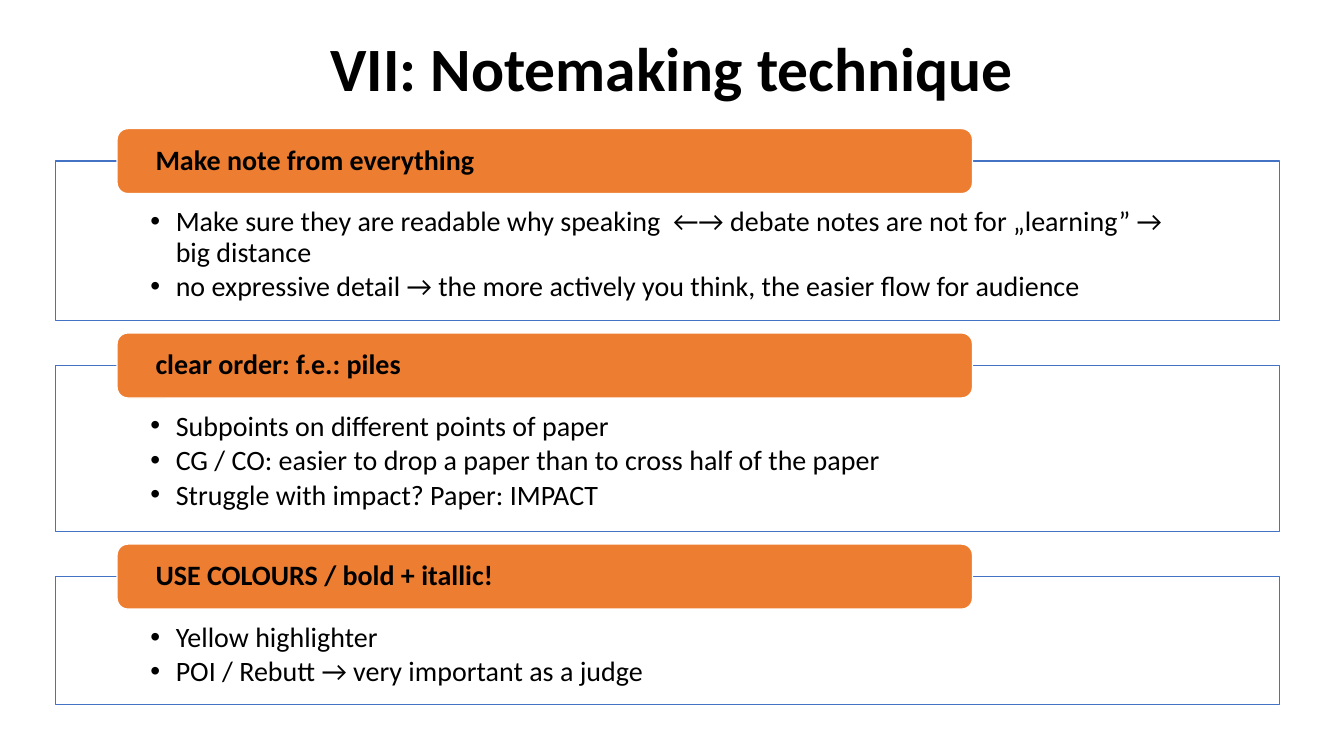
from lxml.etree import SubElement
from pptx import Presentation
from pptx.dml.color import RGBColor
from pptx.enum.shapes import MSO_SHAPE as Shape
from pptx.enum.text import MSO_ANCHOR as Anchor, MSO_AUTO_SIZE as AutoSize, PP_ALIGN as Align
from pptx.oxml.ns import qn
from pptx.util import Cm, Pt

BLACK = RGBColor(0x00, 0x00, 0x00)
WHITE = RGBColor(0xFF, 0xFF, 0xFF)
BLUE = RGBColor(0x44, 0x72, 0xC4)
ORANGE = RGBColor(0xED, 0x7D, 0x31)

COMPARISON_LAYOUT = 4
FIRST_TOP, GAP, HEADING_RISE = 4.06, 1.13, 0.82

SECTIONS = [
    ("Make note from everything", 4.02, [
        "Make sure they are readable why speaking  ←→ debate notes are not for „learning” → big distance",
        "no expressive detail → the more actively you think, the easier flow for audience",
    ]),
    ("clear order: f.e.: piles", 4.19, [
        "Subpoints on different points of paper",
        "CG / CO: easier to drop a paper than to cross half of the paper",
        "Struggle with impact? Paper: IMPACT",
    ]),
    ("USE COLOURS / bold + itallic!", 3.22, [
        "Yellow highlighter",
        "POI / Rebutt → very important as a judge",
    ]),
]


class NoteSlide:
    """Hold the slide and the style shared by its title, lists and headings."""

    font_name = "Calibri"
    text_size = 20
    title_size = 44

    def __init__(self, presentation):
        self.slide = presentation.slides.add_slide(presentation.slide_layouts[COMPARISON_LAYOUT])
        self.bodies = [holder for holder in self.slide.placeholders
                       if 1 <= holder.placeholder_format.idx <= 4]

    def place(self, shape, left, top, width, height):
        shape.left, shape.top = Cm(left), Cm(top)
        shape.width, shape.height = Cm(width), Cm(height)

    def frame(self, shape, anchor, side, top=0, bottom=0):
        frame = shape.text_frame
        frame.word_wrap = True
        frame.auto_size = AutoSize.NONE
        frame.vertical_anchor = anchor
        frame.margin_left = frame.margin_right = Cm(side)
        frame.margin_top, frame.margin_bottom = Cm(top), Cm(bottom)
        return frame

    def paint(self, shape, fill, line):
        shape.fill.solid()
        shape.fill.fore_color.rgb = fill
        shape.line.color.rgb = line
        shape.line.width = Pt(1)

    def style(self, paragraph, size, bold, align=Align.LEFT, after=0):
        paragraph.alignment = align
        paragraph.line_spacing = 0.9
        paragraph.space_before, paragraph.space_after = Pt(0), Pt(after)
        font = paragraph.font
        font.name, font.size, font.bold = self.font_name, Pt(size), bold
        font.color.rgb = BLACK

    def bullet(self, paragraph):
        properties = paragraph._p.get_or_add_pPr()
        properties.set("marL", str(Cm(0.64)))
        properties.set("indent", str(-Cm(0.64)))
        SubElement(properties, qn("a:buFont"), typeface="Arial")
        SubElement(properties, qn("a:buChar"), char="•")

    def title(self, text):
        title = self.slide.shapes.title
        self.place(title, 2.34, 0.64, 29.2, 2.34)
        frame = self.frame(title, Anchor.MIDDLE, 0.25)
        frame.text = text
        self.style(frame.paragraphs[0], self.title_size, True, Align.CENTER)

    def list_box(self, items, top, height):
        body = self.bodies.pop(0)
        self.place(body, 1.4, top, 30.84, height)
        self.paint(body, WHITE, BLUE)
        frame = self.frame(body, Anchor.TOP, 2.39, 1.17, 0.41)
        frame.text = "\n".join(items)
        for paragraph in frame.paragraphs:
            self.bullet(paragraph)
            self.style(paragraph, self.text_size, False, after=3)

    def heading(self, text, top):
        shape = self.slide.shapes.add_shape(
            Shape.ROUNDED_RECTANGLE, Cm(2.95), Cm(top), Cm(21.56), Cm(1.64))
        shape.shadow.inherit = False
        self.paint(shape, ORANGE, WHITE)
        frame = self.frame(shape, Anchor.MIDDLE, 0.89)
        frame.text = text
        self.style(frame.paragraphs[0], self.text_size, True)

    def remove_unused(self):
        for body in self.bodies:
            body.element.getparent().remove(body.element)


def main():
    presentation = Presentation()
    presentation.slide_width, presentation.slide_height = Cm(33.87), Cm(19.05)
    notes = NoteSlide(presentation)
    notes.title("VII: Notemaking technique")
    top = FIRST_TOP
    for heading, height, items in SECTIONS:
        notes.list_box(items, top, height)
        notes.heading(heading, top - HEADING_RISE)
        top += height + GAP
    notes.remove_unused()
    presentation.save("out.pptx")


if __name__ == "__main__":
    main()
